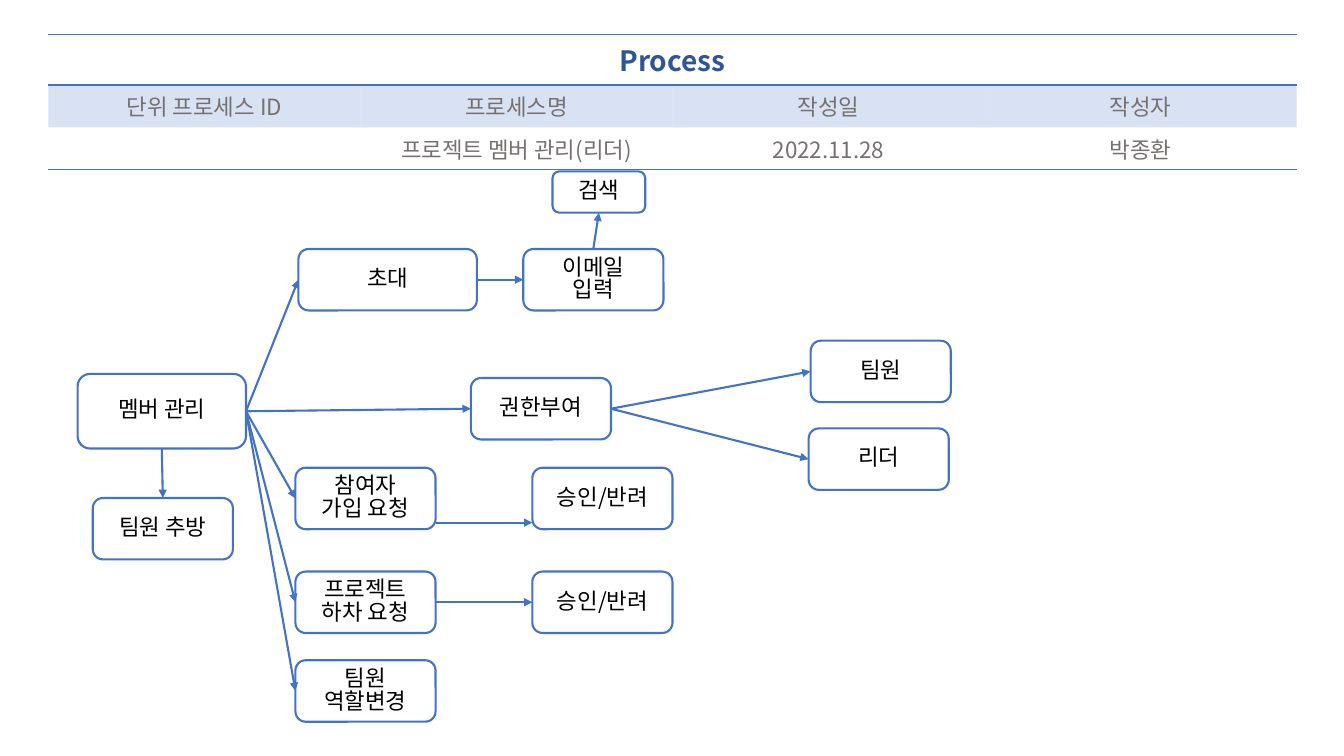
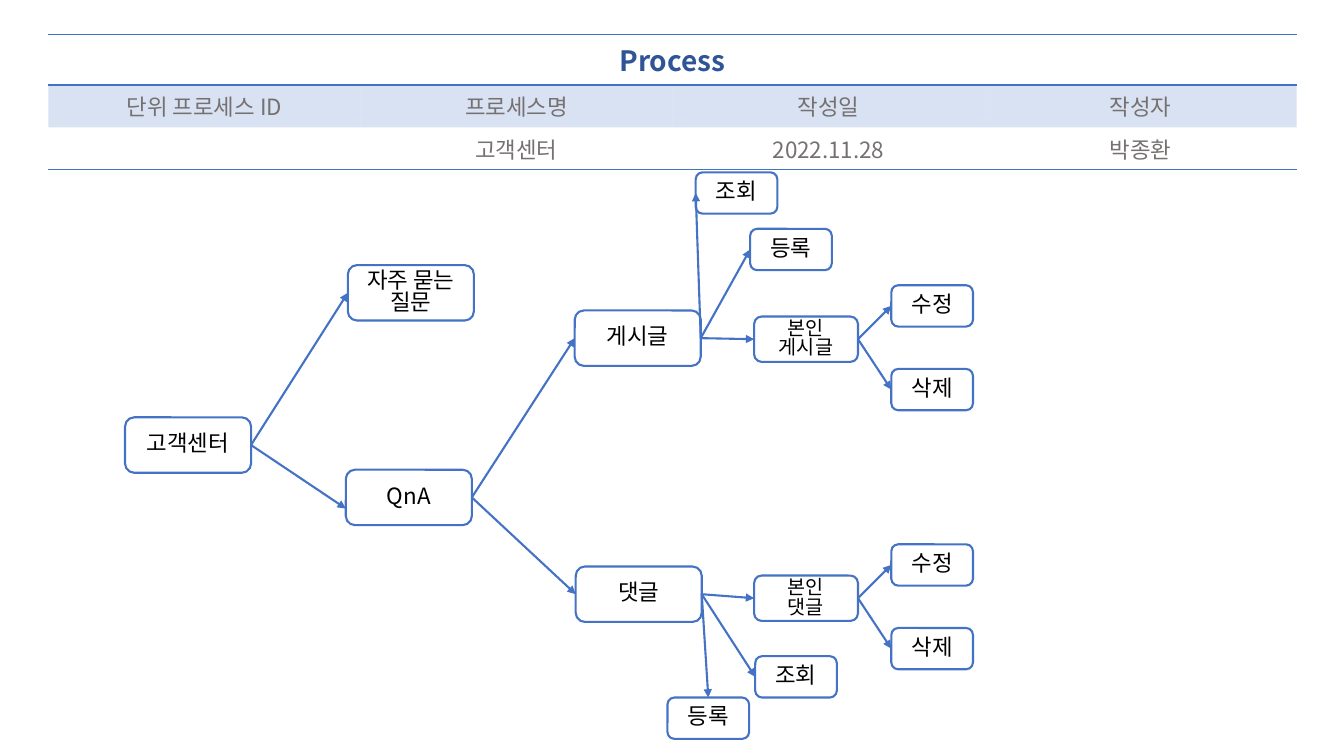
"""Build two process slides, each with a header table and a flow of linked boxes."""

from dataclasses import dataclass
from enum import IntEnum
from typing import NamedTuple

from lxml.etree import SubElement
from pptx import Presentation
from pptx.dml.color import RGBColor
from pptx.enum.shapes import MSO_CONNECTOR, MSO_SHAPE
from pptx.enum.text import MSO_ANCHOR, PP_ALIGN
from pptx.oxml.ns import qn
from pptx.shapes.autoshape import Shape
from pptx.slide import Slide
from pptx.table import _Cell
from pptx.text.text import TextFrame
from pptx.util import Inches, Pt


@dataclass(frozen=True)
class Theme:
    """Colours, font and type sizes shared by the slides."""

    font: str = "Noto Sans CJK KR"
    accent: str = "4472C4"
    title: str = "2F5597"
    muted: str = "767171"
    ink: str = "000000"
    paper: str = "FFFFFF"
    title_size: int = 20
    text_size: int = 16
    small_size: int = 14
    box_line: float = 1.5
    table_line: float = 1
    line_spacing: float = 0.84
    plain_table: str = "{2D5ABB26-0587-4C30-8999-92F81FD0307C}"


THEME = Theme()


class Side(IntEnum):
    """Connection sites of a rectangle."""

    TOP = 0
    LEFT = 1
    BOTTOM = 2
    RIGHT = 3


class Size(NamedTuple):
    """Width and height of a box in inches."""

    width: float
    height: float


ROOT = Size(1.67, 0.74)
WIDE = Size(1.77, 0.61)
STEP = Size(1.39, 0.61)
SEARCH = Size(0.92, 0.41)
TOPIC = Size(1.25, 0.55)
OWN = Size(1.03, 0.45)
ACTION = Size(0.81, 0.41)


@dataclass(frozen=True)
class Box:
    """A rounded box with its text and place."""

    key: str
    text: str
    left: float
    top: float
    size: Size = STEP
    type_size: int = THEME.text_size


@dataclass(frozen=True)
class Link:
    """An arrow between two boxes; a drop moves an end below the middle of its side."""

    start: str
    end: str
    start_side: Side = Side.RIGHT
    end_side: Side = Side.LEFT
    start_drop: float = 0
    end_drop: float = 0


@dataclass(frozen=True)
class Process:
    """The name, boxes and links of one slide."""

    name: str
    boxes: list[Box]
    links: list[Link]


def style_text(text_frame: TextFrame, size: int, color: str, bold: bool = False) -> None:
    """Centre the paragraphs and format their runs."""
    for paragraph in text_frame.paragraphs:
        paragraph.alignment = PP_ALIGN.CENTER
        for run in paragraph.runs:
            run.font.name = THEME.font
            run.font.size = Pt(size)
            run.font.bold = bold
            run.font.color.rgb = RGBColor.from_string(color)
            SubElement(run.font._element, qn("a:ea"), typeface=THEME.font)


def add_solid(parent, color: str, alpha: int = 100) -> None:
    """Append a solid fill, transparent where alpha is below 100."""
    fill = SubElement(parent, qn("a:solidFill"))
    value = SubElement(fill, qn("a:srgbClr"), val=color)
    if alpha < 100:
        SubElement(value, qn("a:alpha"), val=str(alpha * 1000))


def style_cell(cell: _Cell, borders: tuple[str, ...], tinted: bool) -> None:
    """Set the borders and fill of a table cell."""
    cell.vertical_anchor = MSO_ANCHOR.MIDDLE
    properties = cell._tc.get_or_add_tcPr()
    for border in borders:
        line = SubElement(properties, qn(f"a:{border}"), w=str(Pt(THEME.table_line)))
        add_solid(line, THEME.accent)
    if tinted:
        add_solid(properties, THEME.accent, 20)
    else:
        cell.fill.background()


def add_header(slide: Slide, name: str) -> None:
    """Draw the table with the title and the facts of the process."""
    rows = (
        ("Process", "", "", ""),
        ("단위 프로세스 ID", "프로세스명", "작성일", "작성자"),
        ("", name, "2022.11.28", "박종환"),
    )
    borders = (("lnT", "lnB"), (), ("lnB",))
    heights = (0.46, 0.38, 0.38)
    frame = slide.shapes.add_table(
        len(rows), len(rows[0]), Inches(0.48), Inches(0.34), Inches(12.38), Inches(sum(heights))
    )
    table = frame.table
    table.first_row = table.horz_banding = False
    table._tbl.tblPr.find(qn("a:tableStyleId")).text = THEME.plain_table
    for row, values in enumerate(rows):
        table.rows[row].height = Inches(heights[row])
        for column, value in enumerate(values):
            cell = table.cell(row, column)
            style_cell(cell, borders[row], tinted=row == 1)
            cell.text_frame.text = value
            if row == 0:
                style_text(cell.text_frame, THEME.title_size, THEME.title, True)
            else:
                style_text(cell.text_frame, THEME.text_size, THEME.muted)
    table.cell(0, 0).merge(table.cell(0, len(rows[0]) - 1))


def add_box(slide: Slide, box: Box) -> Shape:
    """Draw a rounded box."""
    shape = slide.shapes.add_shape(
        MSO_SHAPE.ROUNDED_RECTANGLE,
        Inches(box.left), Inches(box.top), Inches(box.size.width), Inches(box.size.height),
    )
    shape.shadow.inherit = False
    shape.fill.solid()
    shape.fill.fore_color.rgb = RGBColor.from_string(THEME.paper)
    shape.line.color.rgb = RGBColor.from_string(THEME.accent)
    shape.line.width = Pt(THEME.box_line)
    text_frame = shape.text_frame
    text_frame.word_wrap = True
    text_frame.vertical_anchor = MSO_ANCHOR.MIDDLE
    text_frame.text = box.text
    style_text(text_frame, box.type_size, THEME.ink)
    for paragraph in text_frame.paragraphs:
        paragraph.line_spacing = THEME.line_spacing
    return shape


def side_point(shape: Shape, side: Side, drop: float) -> tuple[int, int]:
    """Return the middle of a side, moved down by the drop."""
    across = {Side.LEFT: 0, Side.RIGHT: shape.width}.get(side, shape.width // 2)
    down = {Side.TOP: 0, Side.BOTTOM: shape.height}.get(side, shape.height // 2)
    return shape.left + across, shape.top + down + Inches(drop)


def add_link(slide: Slide, link: Link, shapes: dict[str, Shape]) -> None:
    """Draw an arrow, joined to its boxes where it meets the middle of a side."""
    start, end = shapes[link.start], shapes[link.end]
    connector = slide.shapes.add_connector(
        MSO_CONNECTOR.STRAIGHT,
        *side_point(start, link.start_side, link.start_drop),
        *side_point(end, link.end_side, link.end_drop),
    )
    if not link.start_drop:
        connector.begin_connect(start, link.start_side)
    if not link.end_drop:
        connector.end_connect(end, link.end_side)
    connector.line.color.rgb = RGBColor.from_string(THEME.accent)
    connector.line.width = Pt(THEME.box_line)
    SubElement(connector.line._get_or_add_ln(), qn("a:tailEnd"), type="triangle")
    SubElement(connector._element.spPr, qn("a:effectLst"))


def own_boxes(key: str, text: str, top: float) -> list[Box]:
    """Return the box of a user's own entries with its edit and delete boxes."""
    return [
        Box(key, f"본인\n{text}", 7.48, top, OWN, THEME.small_size),
        Box(f"{key} edit", "수정", 8.84, top - 0.31, ACTION),
        Box(f"{key} delete", "삭제", 8.84, top + 0.52, ACTION),
    ]


def fan(start: str, *ends: str) -> list[Link]:
    """Return links from the right of one box to the left of others."""
    return [Link(start, end) for end in ends]


MEMBERS = Process(
    "프로젝트 멤버 관리(리더)",
    [
        Box("members", "멤버 관리", 0.77, 3.71, ROOT),
        Box("expel", "팀원 추방", 0.92, 4.94),
        Box("invite", "초대", 2.96, 2.47, WIDE),
        Box("email", "이메일\n입력", 5.19, 2.47),
        Box("search", "검색", 5.48, 1.7, SEARCH),
        Box("grant", "권한부여", 4.67, 3.75),
        Box("member", "팀원", 8.04, 3.38),
        Box("leader", "리더", 8.02, 4.25),
        Box("join", "참여자\n가입 요청", 2.93, 4.64),
        Box("join answer", "승인/반려", 5.28, 4.64),
        Box("leave", "프로젝트 하차 요청", 2.93, 5.67),
        Box("leave answer", "승인/반려", 5.28, 5.67),
        Box("role", "팀원\n역할변경", 2.93, 6.55),
    ],
    [
        *fan("members", "invite", "grant", "join", "leave", "role"),
        *fan("invite", "email"),
        *fan("grant", "member", "leader"),
        *fan("leave", "leave answer"),
        Link("join", "join answer", start_drop=0.24, end_drop=0.24),
        Link("members", "expel", Side.BOTTOM, Side.TOP),
        Link("email", "search", Side.TOP, Side.BOTTOM),
    ],
)

SUPPORT = Process(
    "고객센터",
    [
        Box("support", "고객센터", 1.24, 4.14, TOPIC),
        Box("faq", "자주 묻는 질문", 3.45, 2.63, TOPIC),
        Box("qna", "QnA", 3.43, 4.66, TOPIC),
        Box("post", "게시글", 5.7, 3.08, TOPIC),
        Box("post view", "조회", 6.9, 1.71, ACTION),
        Box("post add", "등록", 7.44, 2.27, ACTION),
        *own_boxes("own post", "게시글", 3.14),
        Box("comment", "댓글", 5.71, 5.62, TOPIC),
        Box("comment view", "조회", 7.49, 6.51, ACTION),
        Box("comment add", "등록", 6.62, 6.92, ACTION),
        *own_boxes("own comment", "댓글", 5.71),
    ],
    [
        *fan("support", "faq"),
        Link("support", "qna", end_drop=0.11),
        *fan("qna", "post", "comment"),
        *fan("post", "post view", "post add", "own post"),
        *fan("comment", "own comment", "comment view"),
        Link("comment", "comment add", end_side=Side.TOP),
        *fan("own post", "own post edit", "own post delete"),
        *fan("own comment", "own comment edit", "own comment delete"),
    ],
)


def main() -> None:
    """Build and save the presentation."""
    presentation = Presentation()
    presentation.slide_width = Inches(13.33)
    presentation.slide_height = Inches(7.5)
    for process in (MEMBERS, SUPPORT):
        slide = presentation.slides.add_slide(presentation.slide_layouts[6])
        add_header(slide, process.name)
        shapes = {box.key: add_box(slide, box) for box in process.boxes}
        for link in process.links:
            add_link(slide, link, shapes)
    presentation.save("out.pptx")


if __name__ == "__main__":
    main()
